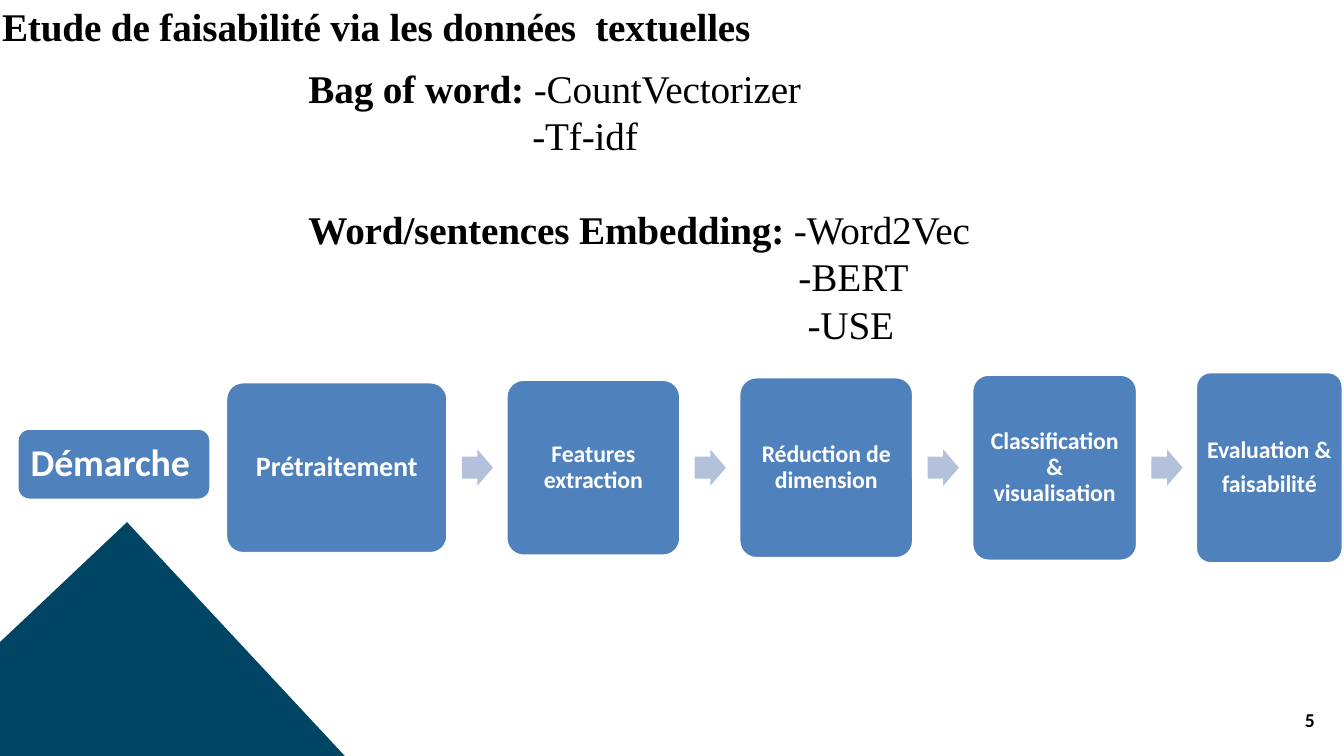
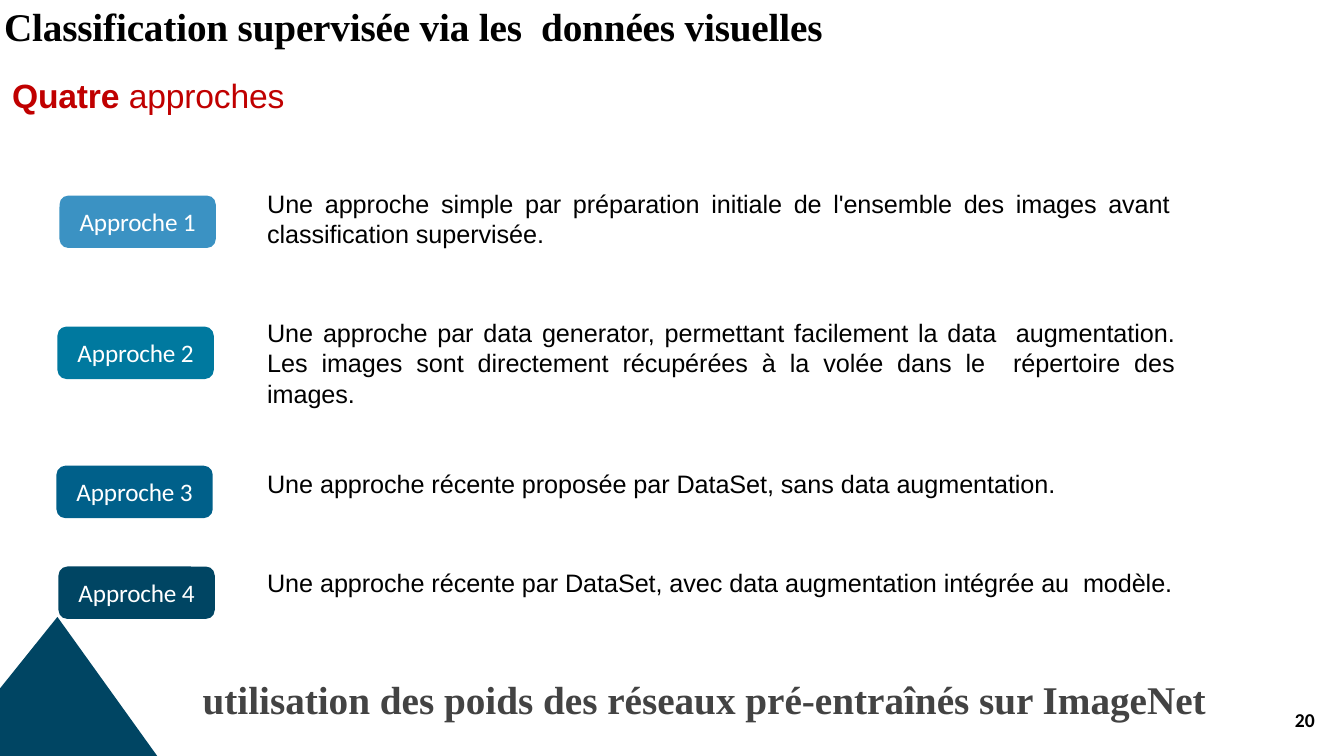
"""Build two slides on text and image classification."""
import dataclasses

import pptx
import pptx.dml.color
import pptx.enum.shapes
import pptx.enum.text
import pptx.util

Inches = pptx.util.Inches
Pt = pptx.util.Pt
Shape = pptx.enum.shapes.MSO_SHAPE
Align = pptx.enum.text.PP_ALIGN
Anchor = pptx.enum.text.MSO_ANCHOR


@dataclasses.dataclass(frozen=True)
class Theme:
    ink: str = "000000"
    white: str = "FFFFFF"
    red: str = "C00000"
    gray: str = "434343"
    card: str = "4F81BD"
    arrow: str = "B3C1DB"
    navy: str = "004563"
    blues: tuple = ("3B92C3", "00799F", "00608A", "004563")
    serif: str = "Times New Roman"
    sans: str = "Arial"
    label: str = "Calibri"
    head: int = 28
    start: int = 27
    sub: int = 24
    lead: int = 20
    body: int = 18
    step: int = 17
    page: int = 14


THEME = Theme()


def tint(code):
    return pptx.dml.color.RGBColor.from_string(code)


def write(frame, *runs, size=THEME.body, font=THEME.sans, color=THEME.ink,
          bold=False, align=Align.LEFT, space=None, before=0, after=0,
          indent=0, track=0):
    para = frame.paragraphs[0]
    if para.runs:
        para = frame.add_paragraph()
    para.alignment = align
    para.space_before = Pt(before)
    para.space_after = Pt(after)
    if space:
        para.line_spacing = space
    if indent:
        props = para._p.get_or_add_pPr()
        props.set("marL", str(Inches(indent)))
        props.set("indent", "0")
    for item in runs:
        words, heavy = (item, bold) if isinstance(item, str) else item
        run = para.add_run()
        run.text = words
        run.font.size = Pt(size)
        run.font.name = font
        run.font.bold = heavy
        run.font.color.rgb = tint(color)
        if track:
            run._r.get_or_add_rPr().set("spc", str(round(track * 100)))


class Deck:
    def __init__(self, theme):
        self.theme = theme
        self.show = pptx.Presentation()
        self.show.slide_width = Inches(13.33)
        self.show.slide_height = Inches(7.5)
        self.slide = None

    def page(self, title, number, left):
        look = self.theme
        self.slide = self.show.slides.add_slide(self.show.slide_layouts[5])
        head = self.slide.shapes.title
        head.left, head.top = Inches(left), Inches(0.02)
        head.width, head.height = Inches(9), Inches(0.48)
        self.fit(head.text_frame)
        write(head.text_frame, title, size=look.head, font=look.serif,
              bold=True, track=-0.1)
        write(self.box(12.54, 7.06, 0.5, 0.22), str(number), size=look.page,
              font=look.label, bold=True, align=Align.RIGHT, space=Pt(14.3))

    def fit(self, frame, inset=0, anchor=Anchor.TOP):
        frame.word_wrap = True
        frame.auto_size = pptx.enum.text.MSO_AUTO_SIZE.NONE
        frame.vertical_anchor = anchor
        frame.margin_left = frame.margin_right = Inches(inset)
        frame.margin_top = frame.margin_bottom = Inches(0)

    def box(self, left, top, width, height):
        frame = self.slide.shapes.add_textbox(
            Inches(left), Inches(top), Inches(width), Inches(height)).text_frame
        self.fit(frame)
        return frame

    def paint(self, shape, fill, edge=None):
        shape.shadow.inherit = False
        shape.fill.solid()
        shape.fill.fore_color.rgb = tint(fill)
        if edge:
            shape.line.color.rgb = tint(edge)
            shape.line.width = Pt(2)
        else:
            shape.line.fill.background()

    def card(self, left, top, width, height, fill, inset=0, edge=None, bend=0.17):
        shape = self.slide.shapes.add_shape(
            Shape.ROUNDED_RECTANGLE, Inches(left), Inches(top),
            Inches(width), Inches(height))
        shape.adjustments[0] = bend
        self.paint(shape, fill, edge)
        self.fit(shape.text_frame, inset, Anchor.MIDDLE)
        return shape.text_frame

    def arrow(self, left, middle):
        shape = self.slide.shapes.add_shape(
            Shape.RIGHT_ARROW, Inches(left), Inches(middle - 0.18),
            Inches(0.31), Inches(0.36))
        shape.adjustments[0] = 0.6
        self.paint(shape, self.theme.arrow)

    def peak(self, tip, top, side, right):
        pen = self.slide.shapes.build_freeform(Inches(tip), Inches(top))
        spots = [(0, side), (0, 7.5), (right, 7.5)]
        pen.add_line_segments([(Inches(x), Inches(y)) for x, y in spots])
        self.paint(pen.convert_to_shape(), self.theme.navy)


def text_slide(deck):
    look = deck.theme
    deck.page("Etude de faisabilité via les données  textuelles", 5, 0.02)
    frame = deck.box(3.06, 0.64, 7.06, 2.85)
    items = [
        ([("Bag of word: ", True), "-CountVectorizer"], 0, 0),
        (["-Tf-idf"], 2.22, 0),
        ([("Word/sentences Embedding: ", True), "-Word2Vec"], 0, 33.6),
        (["-BERT"], 4.86, 0),
        (["-USE"], 4.95, 0),
    ]
    for runs, indent, before in items:
        write(frame, *runs, size=look.head, font=look.serif,
              indent=indent, before=before, track=-0.1)

    style = dict(font=look.label, color=look.white, bold=True,
                 space=0.9, track=-0.1)
    start = deck.card(0.17, 4.25, 1.92, 0.71, look.card, 0.1, look.white)
    write(start, "Démarche", size=look.start, **style)
    steps = [
        (["Prétraitement"], look.lead, 2.2, 0.08),
        (["Features extraction"], look.step, 1.73, 0.08),
        (["Réduction de dimension"], look.step, 1.73, 0.08),
        (["Classification & visualisation"], look.step, 1.64, 0.08),
        (["Evaluation &", "faisabilité"], look.step, 1.46, 0.04),
    ]
    left, middle, gap = 2.24, 4.64, 0.58
    for rank, (lines, size, width, inset) in enumerate(steps):
        if rank:
            deck.arrow(left - gap + 0.14, middle)
        height = 1.7 + 0.05 * rank
        frame = deck.card(left, middle - height / 2, width, height,
                          look.card, inset, look.white, 0.1)
        for line in lines:
            write(frame, line, size=size, align=Align.CENTER,
                  after=6 if line != lines[-1] else 0, **style)
        left += width + gap
    deck.peak(1.26, 5.18, 6.37, 3.42)


def image_slide(deck):
    look = deck.theme
    deck.page("Classification supervisée via les  données visuelles", 20, 0.04)
    write(deck.box(0.12, 0.74, 2.8, 0.5), ("Quatre ", True), "approches",
          size=look.sub, color=look.red, track=-0.1)
    rows = [
        (0.59, 1.94, 1.87, 8.95, "Une approche simple par préparation initiale "
         "de l'ensemble des images avant classification supervisée."),
        (0.57, 3.24, 3.15, 9, "Une approche par data generator, permettant "
         "facilement la data  augmentation. Les images sont directement "
         "récupérées à la volée dans le  répertoire des images."),
        (0.56, 4.62, 4.65, 9, "Une approche récente proposée par DataSet, "
         "sans data augmentation."),
        (0.58, 5.62, 5.63, 9.4, "Une approche récente par DataSet, avec data "
         "augmentation intégrée au  modèle."),
    ]
    for rank, (left, top, line, width, words) in enumerate(rows):
        badge = deck.card(left, top, 1.55, 0.52, look.blues[rank])
        write(badge, f"Approche {rank + 1}", font=look.label,
              color=look.white, align=Align.CENTER, track=-0.1)
        write(deck.box(2.65, line, width, 0.9 if rank < 2 else 0.32), words,
              align=Align.JUSTIFY, track=-0.05)
    deck.peak(0.57, 6.12, 6.83, 1.56)
    write(deck.box(2.01, 6.7, 10.26, 0.5),
          "utilisation des poids des réseaux pré-entraînés sur ImageNet",
          size=look.head, font=look.serif, color=look.gray, bold=True)


def main():
    deck = Deck(THEME)
    text_slide(deck)
    image_slide(deck)
    deck.show.save("out.pptx")


if __name__ == "__main__":
    main()
